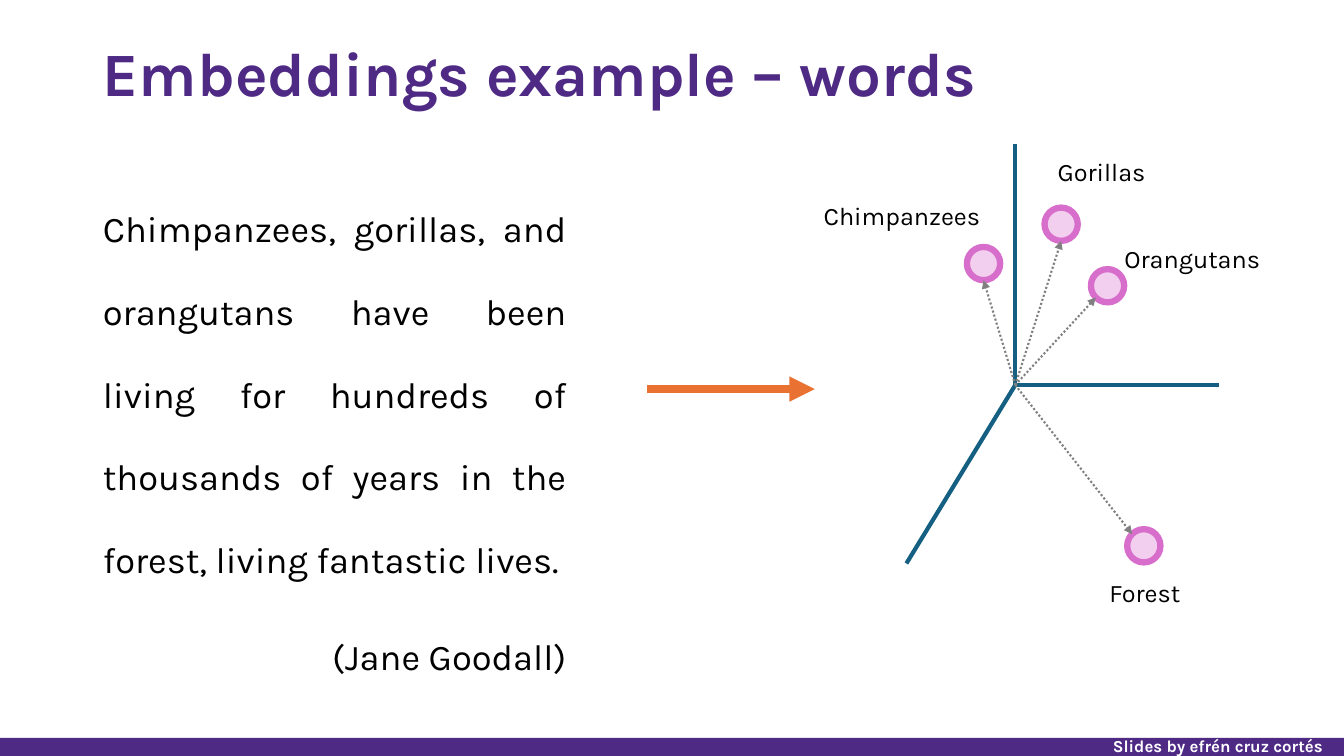
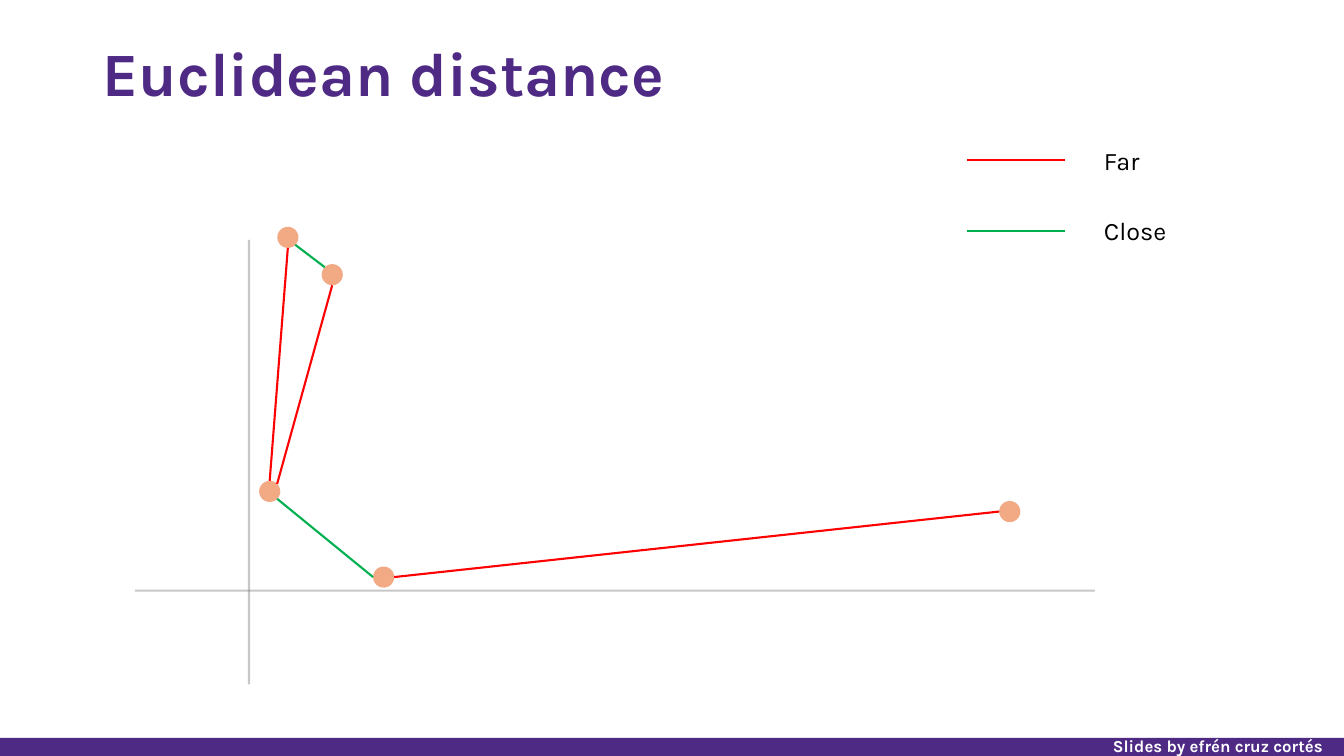
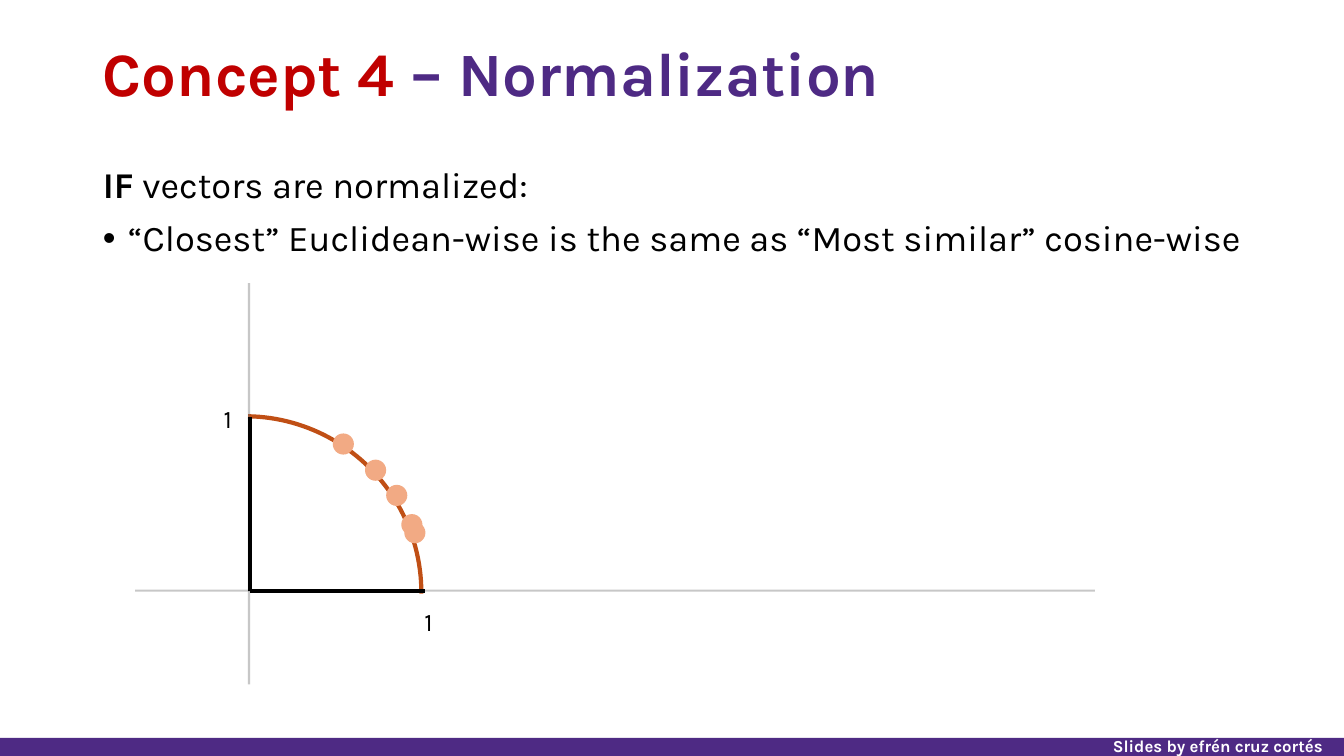
from lxml import etree
from pptx import Presentation, util as u
from pptx.dml.color import RGBColor
from pptx.enum import dml, shapes, text
from pptx.oxml import ns

PX = 9144  # EMU in one px, 100 px to the inch
SLIDE_W, SLIDE_H = 1333, 750
TITLE_BOX = (92, 27, 1150, 98)

PURPLE = RGBColor(0x4E, 0x2A, 0x84)
WHITE = RGBColor(0xFF, 0xFF, 0xFF)
BLACK = RGBColor(0x00, 0x00, 0x00)
CRIMSON = RGBColor(0xC0, 0x00, 0x00)
RED = RGBColor(0xFF, 0x00, 0x00)
GREEN = RGBColor(0x00, 0xB0, 0x50)
TEAL = RGBColor(0x15, 0x60, 0x82)
GRAY = RGBColor(0x80, 0x80, 0x80)
AXIS_GRAY = RGBColor(0x74, 0x74, 0x74)
ORANGE = RGBColor(0xE9, 0x71, 0x32)
RUST = RGBColor(0xC0, 0x4F, 0x15)
PEACH = RGBColor(0xF2, 0xAA, 0x84)
PINK = RGBColor(0xF2, 0xCF, 0xEE)
MAGENTA = RGBColor(0xD8, 0x6E, 0xCC)

TITLE_FONT = dict(name="Karla", size=u.Pt(44), bold=True)
BODY_FONT = dict(name="Karla", size=u.Pt(25.9), bold=False)
LABEL_FONT = dict(name="Karla", size=u.Pt(18), bold=False)
FOOTER_FONT = dict(name="Karla", size=u.Pt(12), bold=True)

LEFT, CENTER, RIGHT, JUSTIFY = (
    text.PP_ALIGN.LEFT, text.PP_ALIGN.CENTER, text.PP_ALIGN.RIGHT, text.PP_ALIGN.JUSTIFY)

# Points on a circle's rim, as fractions of its box
RIM = dict(top=(0.5, 0), bottom=(0.5, 1), left=(0, 0.5), right=(1, 0.5),
           top_left=(0.15, 0.15), top_right=(0.85, 0.15),
           bottom_left=(0.15, 0.85), bottom_right=(0.85, 0.85))


def assign(target, values):
    for name, value in values.items():
        setattr(target, name, value)


def emu(*lengths):
    return [u.Emu(round(length * PX)) for length in lengths]


def child(parent, tag, **attributes):
    return etree.SubElement(parent, ns.qn(tag), attributes)


def write(paragraph, runs, font, **layout):
    """Fill a paragraph with (wording, colour, font changes) runs."""
    assign(paragraph, layout)
    for wording, color, changes in runs:
        run = paragraph.add_run()
        run.text = wording
        assign(run.font, {**font, **changes})
        run.font.color.rgb = color


def label(slide, box, wording, font=LABEL_FONT, color=BLACK, align=CENTER,
          anchor=text.MSO_ANCHOR.MIDDLE, wrap=True):
    caption = slide.shapes.add_textbox(*emu(*box))
    assign(caption.text_frame, dict(word_wrap=wrap, vertical_anchor=anchor))
    write(caption.text_frame.paragraphs[0], [(wording, color, {})], font, alignment=align)
    return caption


def segment(slide, start, end, color, width, dash=None, arrow=False, alpha=None):
    stroke = slide.shapes.add_connector(shapes.MSO_CONNECTOR.STRAIGHT, *emu(*start, *end))
    stroke.line.color.rgb = color
    stroke.line.width = u.Pt(width)
    if dash:
        stroke.line.dash_style = dash
    properties = stroke.element.spPr
    ln = properties.find(ns.qn("a:ln"))
    if alpha:
        child(ln.find(".//" + ns.qn("a:srgbClr")), "a:alpha", val=str(alpha * 1000))
    if arrow:
        child(ln, "a:tailEnd", type="triangle")
    child(properties, "a:effectLst")


def circle(slide, left, top, size, fill, outline=None):
    """Draw a circle and return its box."""
    box = (left, top, size, size)
    disc = slide.shapes.add_shape(shapes.MSO_SHAPE.OVAL, *emu(*box))
    disc.shadow.inherit = False
    disc.fill.solid()
    disc.fill.fore_color.rgb = fill
    if outline:
        disc.line.color.rgb = outline
        disc.line.width = u.Pt(4.5)
    else:
        disc.line.fill.background()
    return box


def rim(box, side):
    left, top, width, height = box
    across, down = RIM[side]
    return left + across * width, top + down * height


# Shared frame
def footer(prs, slide):
    """Draw the band and credit once, then hand them to the master."""
    band = slide.shapes.add_shape(
        shapes.MSO_SHAPE.RECTANGLE, *emu(0, 732, SLIDE_W, SLIDE_H - 732))
    band.shadow.inherit = False
    band.fill.solid()
    band.fill.fore_color.rgb = PURPLE
    band.line.fill.background()
    credit = label(slide, (1085, 725, 246, 30), "Slides by efrén cruz cortés",
                   FOOTER_FONT, WHITE, anchor=text.MSO_ANCHOR.BOTTOM)
    for part in (band, credit):
        prs.slide_master.shapes.element.append(part.element)


def place(placeholder, box, anchor):
    assign(placeholder, dict(zip(("left", "top", "width", "height"), emu(*box))))
    assign(placeholder.text_frame, dict(
        word_wrap=True, auto_size=text.MSO_AUTO_SIZE.NONE, vertical_anchor=anchor))
    return placeholder.text_frame


def titled_slide(prs, layout, *runs):
    slide = prs.slides.add_slide(prs.slide_layouts[layout])
    frame = place(slide.shapes.title, TITLE_BOX, text.MSO_ANCHOR.MIDDLE)
    write(frame.paragraphs[0], [(wording, color, {}) for wording, color in runs],
          TITLE_FONT, alignment=LEFT, line_spacing=0.9)
    return slide


def body(slide, box, spacing, *paragraphs):
    """Fill the body with (runs, alignment, bulleted) paragraphs."""
    frame = place(slide.placeholders[1], box, text.MSO_ANCHOR.TOP)
    for number, (runs, align, bulleted) in enumerate(paragraphs):
        paragraph = frame.add_paragraph() if number else frame.paragraphs[0]
        properties = paragraph._p.get_or_add_pPr()
        indent = 25 * PX if bulleted else 0
        properties.set("marL", str(indent))
        properties.set("indent", str(-indent))
        if bulleted:
            child(properties, "a:buFont", typeface="Arial")
            child(properties, "a:buChar", char="•")
        else:
            child(properties, "a:buNone")
        write(paragraph, [(wording, BLACK, changes) for wording, changes in runs],
              BODY_FONT, alignment=align, line_spacing=spacing,
              space_before=u.Pt(10 if number else 0))


# Regions
def word_space(slide, box):
    """Three axes with one vector for each word."""
    x, y = box[:2]
    origin = (x + 207, y + 239)
    for dx, dy in ((207, 0), (99, 416), (409, 239)):
        segment(slide, origin, (x + dx, y + dy), TEAL, 3)
    words = (  # word, circle, label, side where the vector ends
        ("Gorillas", (236, 63), (198, 7), "bottom"),
        ("Orangutans", (282, 124), (288, 93), "bottom_left"),
        ("Chimpanzees", (159, 102), (0, 51), "bottom"),
        ("Forest", (318, 382), (241, 425), "top_left"))
    for word, (dx, dy), (label_dx, label_dy), side in words:
        dot = circle(slide, x + dx, y + dy, 33, PINK, MAGENTA)
        label(slide, (x + label_dx, y + label_dy, 189, 40), word)
        segment(slide, origin, rim(dot, side), GRAY, 1.5,
                dml.MSO_LINE.ROUND_DOT, arrow=True)


def plane(slide, box):
    """Draw two crossing axes and return their origin."""
    left, top, width, height = box
    x, y = left + 113, top + height - 93
    segment(slide, (x, top), (x, top + height), AXIS_GRAY, 1.5, alpha=40)
    segment(slide, (left, y), (left + width, y), AXIS_GRAY, 1.5, alpha=40)
    return x, y


def dots(slide, origin, offsets):
    x, y = origin
    return [circle(slide, x + dx, y + dy, 21, PEACH) for dx, dy in offsets]


def distances(slide, box):
    """Points in a plane joined by far and close lines."""
    low, high_right, high_left, distant, bottom = dots(
        slide, plane(slide, box),
        ((10, -109), (72, -324), (28, -361), (744, -89), (123, -24)))
    links = (
        (high_left, "bottom", low, "top", RED),
        (high_right, "bottom", low, "top_right", RED),
        (distant, "left", bottom, "right", RED),
        (bottom, "left", low, "bottom_right", GREEN),
        (high_right, "top_left", high_left, "bottom_right", GREEN))
    for start, start_side, end, end_side, color in links:
        segment(slide, rim(start, start_side), rim(end, end_side), color, 1.5)


def legend(slide, box):
    left, top, width, height = box
    for row, (name, color) in enumerate((("Far", RED), ("Close", GREEN))):
        y = top + row * height // 2
        segment(slide, (left, y + 20), (left + 97, y + 20), color, 1.5)
        label(slide, (left + 126, y, width - 126, 40), name, align=LEFT,
              anchor=text.MSO_ANCHOR.TOP, wrap=False)


def unit_circle(slide, box):
    """Quarter of the unit circle with normalized points on it."""
    radius = 174
    left, top, width, height = box
    x, y = left + 113, top + height - 93
    arc = slide.shapes.add_shape(
        shapes.MSO_SHAPE.ARC, *emu(x - 179, y - 173, 350, 350))
    arc.adjustments[0], arc.adjustments[1] = 162.61, 0.21
    arc.shadow.inherit = False
    arc.fill.background()
    arc.line.color.rgb = RUST
    arc.line.width = u.Pt(3)
    origin = plane(slide, box)
    dots(slide, origin, ((151, -76), (83, -156), (136, -105), (115, -130), (154, -68)))
    for end in ((x + 1 + radius, y), (x + 1, y - radius + 2)):
        segment(slide, (x + 1, y), end, BLACK, 3)
    for dx, dy in ((164, 11), (-35, -191)):
        label(slide, (x + dx, y + dy, 21, 40), "1")


def main():
    prs = Presentation()
    prs.slide_width, prs.slide_height = emu(SLIDE_W, SLIDE_H)

    # Words as vectors
    words = titled_slide(prs, 1, ("Embeddings example – words", PURPLE))
    footer(prs, words)
    quote = ("Chimpanzees, gorillas, and orangutans have been living for hundreds of "
             "thousands of years in the forest, living fantastic lives.")
    body(words, (92, 161, 480, 514), 1.9,
         ([(quote, {})], JUSTIFY, False),
         ([("(Jane Goodall)", {})], RIGHT, False))
    word_space(words, (800, 143, 477, 465))
    segment(words, (642, 386), (808, 386), ORANGE, 6, arrow=True)

    # Far and close points
    euclidean = titled_slide(prs, 5, ("Euclidean distance", PURPLE))
    distances(euclidean, (134, 238, 952, 441))
    legend(euclidean, (959, 139, 210, 140))

    # Normalized vectors
    normalization = titled_slide(
        prs, 1, ("Concept 4", CRIMSON), (" – Normalization", PURPLE))
    body(normalization, (92, 161, 1150, 120), 0.9,
         ([("IF", dict(bold=True)), (" vectors are normalized:", {})], JUSTIFY, False),
         ([("“Closest” Euclidean-wise is the same as “Most similar” cosine-wise", {})],
          JUSTIFY, True))
    unit_circle(normalization, (134, 281, 952, 398))

    prs.save("out.pptx")


if __name__ == "__main__":
    main()
